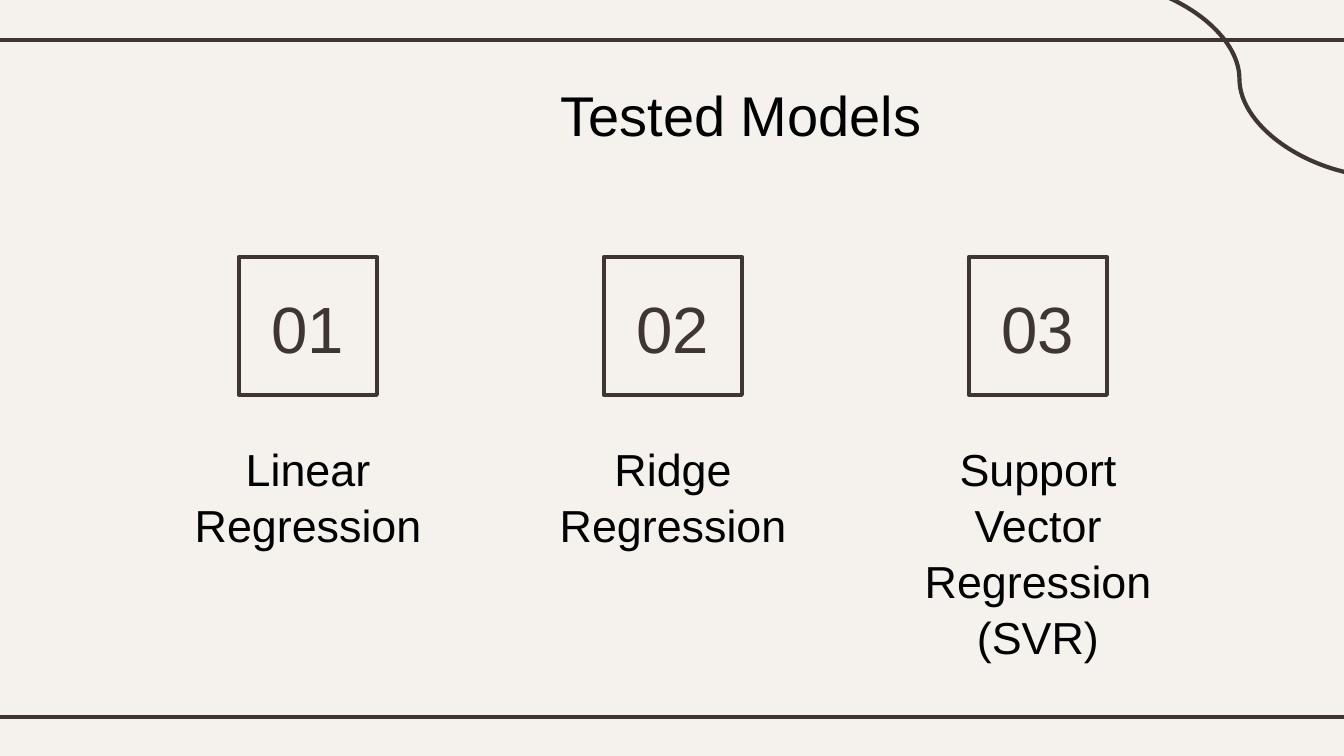
from dataclasses import dataclass

from lxml.etree import SubElement
from pptx import Presentation
from pptx.dml.color import RGBColor
from pptx.enum.shapes import MSO_CONNECTOR, MSO_SHAPE
from pptx.enum.text import MSO_ANCHOR, MSO_AUTO_SIZE, PP_ALIGN
from pptx.oxml.ns import qn
from pptx.util import Emu, Pt

SCALE = 914400 / 134.4  # EMU in one px


def px(size):
    return Emu(round(size * SCALE))


@dataclass(frozen=True)
class Theme:
    font: str = "Arial"
    paper: RGBColor = RGBColor(0xF5, 0xF2, 0xEE)
    ink: RGBColor = RGBColor(0x3F, 0x35, 0x33)
    text: RGBColor = RGBColor(0, 0, 0)
    title: int = 30
    label: int = 24
    number: int = 35
    stroke: float = 2.25
    leading: float = 1.04


class Deck:
    def __init__(self, theme, slide):
        self.theme = theme
        self.slide = slide
        fill = slide.background.fill
        fill.solid()
        fill.fore_color.rgb = theme.paper

    def pen(self, line):
        line.color.rgb = self.theme.ink
        line.width = Pt(self.theme.stroke)

    def line(self, kind, x1, y1, x2, y2):
        rule = self.slide.shapes.add_connector(kind, px(x1), px(y1), px(x2), px(y2))
        self.pen(rule.line)
        SubElement(rule._element.spPr, qn("a:effectLst"))

    def text(self, shape, lines, size, color, anchor=MSO_ANCHOR.TOP):
        frame = shape.text_frame
        frame.text = "\n".join(lines)
        frame.word_wrap = True
        frame.auto_size = MSO_AUTO_SIZE.NONE
        frame.vertical_anchor = anchor
        frame.margin_left = frame.margin_right = px(13)
        frame.margin_top = frame.margin_bottom = px(13)
        for para in frame.paragraphs:
            props = para._p.get_or_add_pPr()
            props.set("marL", "0")
            props.set("indent", "0")
            SubElement(props, qn("a:buNone"))
            para.alignment = PP_ALIGN.CENTER
            para.space_before = Pt(0)
            para.line_spacing = self.theme.leading
            font = para.font
            font.name = self.theme.font
            font.size = Pt(size)
            font.bold = False
            font.color.rgb = color

    def place(self, holder, x, y, w, h, lines, size):
        holder.left, holder.top = px(x), px(y)
        holder.width, holder.height = px(w), px(h)
        self.text(holder, lines, size, self.theme.text)

    def badge(self, mid, label):
        group = self.slide.shapes.add_group_shape()
        side = 138
        box = group.shapes.add_shape(
            MSO_SHAPE.RECTANGLE, px(mid - side // 2), px(257), px(side), px(side))
        box.shadow.inherit = False
        box.fill.solid()
        box.fill.fore_color.rgb = self.theme.paper
        self.pen(box.line)
        SubElement(box._element.spPr.find(qn("a:ln")), qn("a:round"))
        number = group.shapes.add_textbox(px(mid - 74), px(277), px(148), px(98))
        self.text(number, [label], self.theme.number, self.theme.ink, MSO_ANCHOR.MIDDLE)


def main():
    show = Presentation()
    show.slide_width, show.slide_height = px(1344), px(756)
    slide = show.slides.add_slide(show.slide_layouts.get_by_name("Comparison"))
    theme = Theme()
    deck = Deck(theme, slide)

    # Frame lines and corner curve
    for y in (40, 717):
        deck.line(MSO_CONNECTOR.STRAIGHT, -11, y, 1355, y)
    deck.line(MSO_CONNECTOR.CURVE, 1093, -19, 1386, 177)

    # Title
    title, *bodies = slide.placeholders
    deck.place(title, 336, 65, 810, 85, ["Tested Models"], theme.title)

    # Numbered models
    models = [
        ["Linear", "Regression"],
        ["Ridge", "Regression"],
        ["Support", "Vector", "Regression", "(SVR)"],
    ]
    first, step, wide = 308, 365, 296
    for i, (body, lines) in enumerate(zip(bodies, models)):
        mid = first + i * step
        deck.place(body, mid - wide // 2, 427, wide, 73, lines, theme.label)
        deck.badge(mid, f"{i + 1:02}")

    # Unused placeholders
    for spare in bodies[len(models):]:
        spare._element.getparent().remove(spare._element)

    show.save("out.pptx")


if __name__ == "__main__":
    main()
